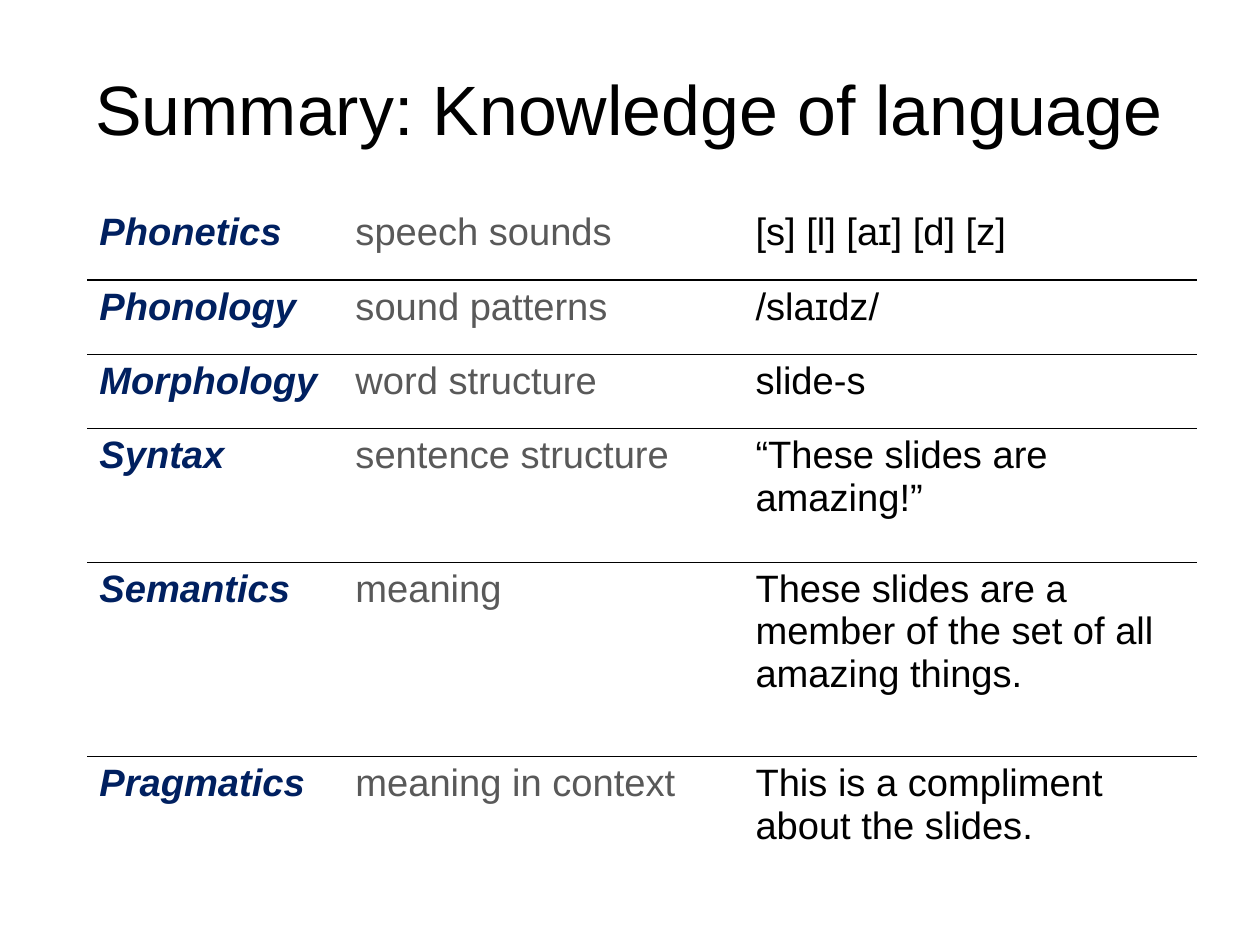
import pptx
import pptx.dml.color
import pptx.enum.text
import pptx.oxml
import pptx.oxml.ns
import pptx.util
from pptx.util import Inches

BLACK = pptx.dml.color.RGBColor(0x00, 0x00, 0x00)
WHITE = pptx.dml.color.RGBColor(0xFF, 0xFF, 0xFF)
NAVY = pptx.dml.color.RGBColor(0x00, 0x20, 0x60)
GREY = pptx.dml.color.RGBColor(0x59, 0x59, 0x59)

CM_PER_INCH = 2.54
PAGE_WIDTH_CM = 28
PAGE_HEIGHT_CM = 21

COLUMN_WIDTHS = [2.24, 3.5, 3.96]
ROW_HEIGHTS = [0.65, 0.65, 0.65, 1.17, 1.7, 1.17]
COLUMN_FORMATS = [
    {"color": NAVY, "bold": True, "italic": True},
    {"color": GREY, "bold": False, "italic": False},
    {"color": BLACK, "bold": False, "italic": False},
]
LEVELS = [
    ("Phonetics", "speech sounds", "[s] [l] [aɪ] [d] [z]"),
    ("Phonology", "sound patterns", "/slaɪdz/"),
    ("Morphology", "word structure", "slide-s"),
    ("Syntax", "sentence structure", "“These slides are amazing!”"),
    ("Semantics", "meaning",
     "These slides are a member of the set of all amazing things."),
    ("Pragmatics", "meaning in context",
     "This is a compliment about the slides."),
]


class SlideBuilder:
    def __init__(self, page, font_name):
        self.page = page
        self.font_name = font_name

    def format_font(self, font, size, color, **values):
        font.color.rgb = color
        values.update(name=self.font_name, size=pptx.util.Pt(size))
        for name, value in values.items():
            setattr(font, name, value)

    def add_title(self, text, left, top, width, height):
        box = self.page.shapes.title
        place = {"left": left, "top": top, "width": width, "height": height}
        for name, value in place.items():
            setattr(box, name, Inches(value))
        frame = box.text_frame
        frame_format = {
            "margin_left": 0, "margin_top": 0,
            "margin_right": 0, "margin_bottom": 0,
            "word_wrap": True,
            "auto_size": pptx.enum.text.MSO_AUTO_SIZE.NONE,
            "vertical_anchor": pptx.enum.text.MSO_ANCHOR.MIDDLE,
        }
        for name, value in frame_format.items():
            setattr(frame, name, value)
        para = frame.paragraphs[0]
        para.alignment = pptx.enum.text.PP_ALIGN.CENTER
        span = para.add_run()
        span.text = text
        self.format_font(span.font, 44, BLACK)

    def set_borders(self, cell, top, bottom):
        properties = cell._tc.get_or_add_tcPr()
        sides = {"lnL": WHITE, "lnR": WHITE, "lnT": top, "lnB": bottom}
        for side, color in sides.items():
            properties.append(pptx.oxml.parse_xml(
                f'<a:{side} {pptx.oxml.ns.nsdecls("a")} w="12700"><a:solidFill>'
                f'<a:srgbClr val="{color}"/></a:solidFill></a:{side}>'))

    def add_ruled_table(self, rows, left, top):
        """Add a table with lines only between its rows."""
        table = self.page.shapes.add_table(
            len(rows), len(COLUMN_WIDTHS), Inches(left), Inches(top),
            Inches(sum(COLUMN_WIDTHS)), Inches(sum(ROW_HEIGHTS))).table
        table.first_row = False
        table.horz_banding = False
        for column, width in zip(table.columns, COLUMN_WIDTHS):
            column.width = Inches(width)
        last = len(rows) - 1
        for index, texts in enumerate(rows):
            table.rows[index].height = Inches(ROW_HEIGHTS[index])
            for cell, text, values in zip(
                    table.rows[index].cells, texts, COLUMN_FORMATS):
                self.set_borders(cell, BLACK if index > 0 else WHITE,
                                 BLACK if index < last else WHITE)
                cell.fill.solid()
                cell.fill.fore_color.rgb = WHITE
                para = cell.text_frame.paragraphs[0]
                para.space_after = pptx.util.Pt(6)
                span = para.add_run()
                span.text = text
                self.format_font(span.font, 24, **values)


def main():
    deck = pptx.Presentation()
    deck.slide_width = Inches(PAGE_WIDTH_CM / CM_PER_INCH)
    deck.slide_height = Inches(PAGE_HEIGHT_CM / CM_PER_INCH)
    title_only = deck.slide_layouts[5]
    builder = SlideBuilder(deck.slides.add_slide(title_only), "Arial")
    builder.add_title("Summary: Knowledge of language", 0.55, 0.25, 9.92, 1.38)
    builder.add_ruled_table(LEVELS, 0.77, 1.8)
    deck.save("out.pptx")


if __name__ == "__main__":
    main()
